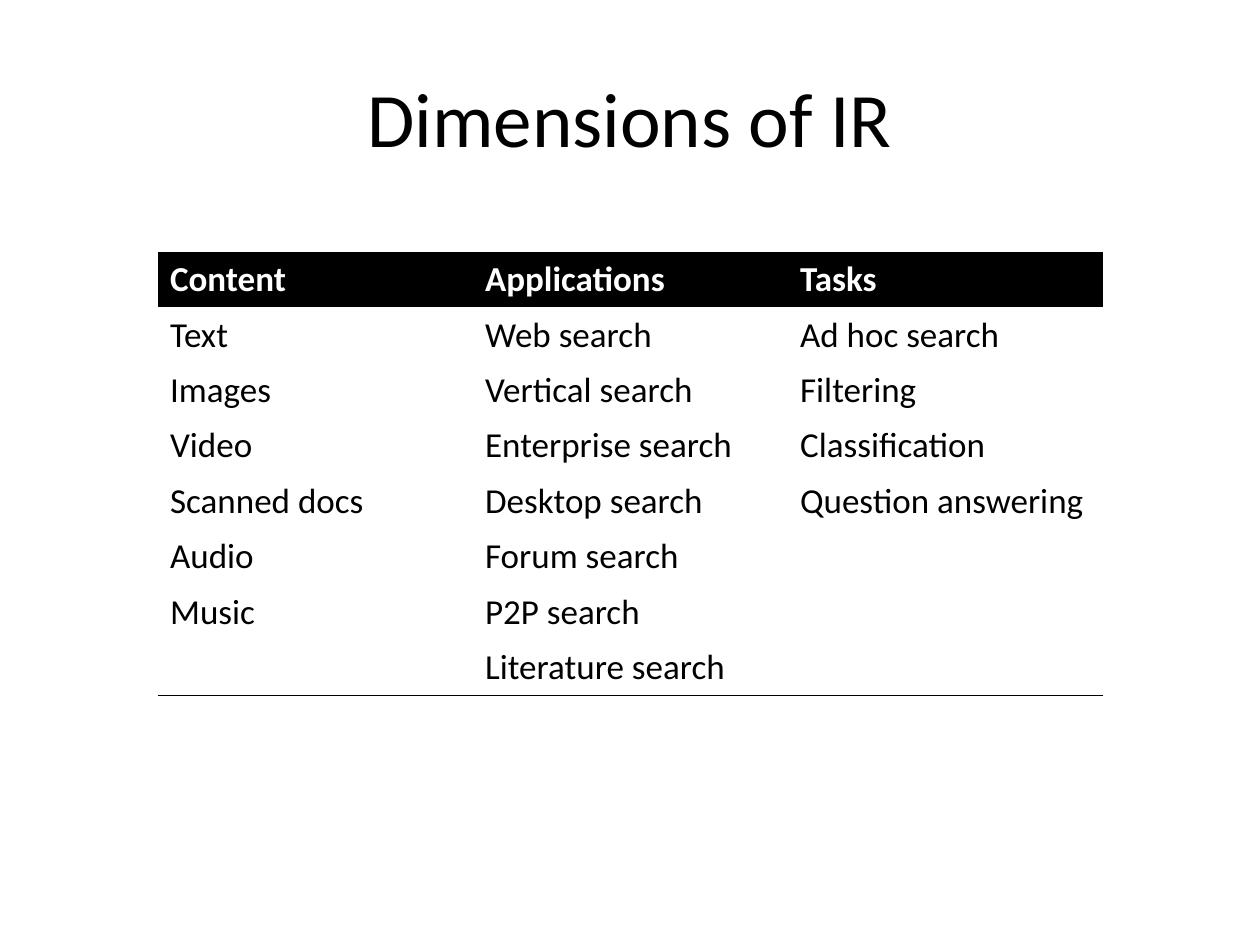
from itertools import zip_longest

from pptx import Presentation
from pptx.dml.color import RGBColor
from pptx.enum.text import MSO_ANCHOR as Anchor, PP_ALIGN as Align
from pptx.oxml import parse_xml
from pptx.oxml.ns import nsdecls, qn
from pptx.util import Pt

PX = 9144  # EMU per px, 100 px to the inch
BLACK = RGBColor(0, 0, 0)
WHITE = RGBColor(255, 255, 255)
PLAIN = "{2D5ABB26-0587-4C30-8999-92F81FD0307C}"  # no style, no grid

TOPICS = {
    "Content": ["Text", "Images", "Video", "Scanned docs", "Audio", "Music"],
    "Applications": ["Web search", "Vertical search", "Enterprise search",
                     "Desktop search", "Forum search", "P2P search",
                     "Literature search"],
    "Tasks": ["Ad hoc search", "Filtering", "Classification",
              "Question answering"],
}


class Deck:
    font = "Calibri"
    head = 44
    body = 20

    def __init__(self, wide, high):
        self.prs = Presentation()
        self.prs.slide_width = wide * PX
        self.prs.slide_height = high * PX
        self.slide = self.prs.slides.add_slide(self.prs.slide_layouts[6])

    def run(self, para, text, size, color=BLACK, bold=False):
        run = para.add_run()
        run.text = text
        font = run.font
        font.name, font.size, font.bold = self.font, Pt(size), bold
        font.color.rgb = color

    def title(self, text, *box):
        frame = self.slide.shapes.add_textbox(*(n * PX for n in box)).text_frame
        frame.word_wrap = True
        frame.vertical_anchor = Anchor.MIDDLE
        para = frame.paragraphs[0]
        para.alignment = Align.CENTER
        self.run(para, text, self.head)

    def rule(self, cell):
        """Draw a thin black line under a cell."""
        line = parse_xml(
            f'<a:lnB {nsdecls("a")} w="{Pt(1)}"><a:solidFill>'
            f'<a:srgbClr val="{BLACK}"/></a:solidFill></a:lnB>')
        cell._tc.get_or_add_tcPr().insert(0, line)

    def table(self, cols, left, top, wide, row):
        """Build a table from a dict of headings and their entries."""
        rows = [tuple(cols), *zip_longest(*cols.values(), fillvalue="")]
        table = self.slide.shapes.add_table(
            len(rows), len(cols), left * PX, top * PX,
            wide * PX, row * len(rows) * PX).table
        table.horz_banding = False
        table._tbl.tblPr.find(qn("a:tableStyleId")).text = PLAIN
        for r, texts in enumerate(rows):
            for c, text in enumerate(texts):
                cell = table.cell(r, c)
                if r == 0:
                    cell.fill.solid()
                    cell.fill.fore_color.rgb = BLACK
                else:
                    cell.fill.background()
                if text:
                    self.run(cell.text_frame.paragraphs[0], text, self.body,
                             WHITE if r == 0 else BLACK, r == 0)
                if r == len(rows) - 1:
                    self.rule(cell)


def main():
    deck = Deck(1000, 750)
    deck.title("Dimensions of IR", 50, 30, 900, 125)
    deck.table(TOPICS, 125, 200, 750, 44)
    deck.prs.save("out.pptx")


if __name__ == "__main__":
    main()
